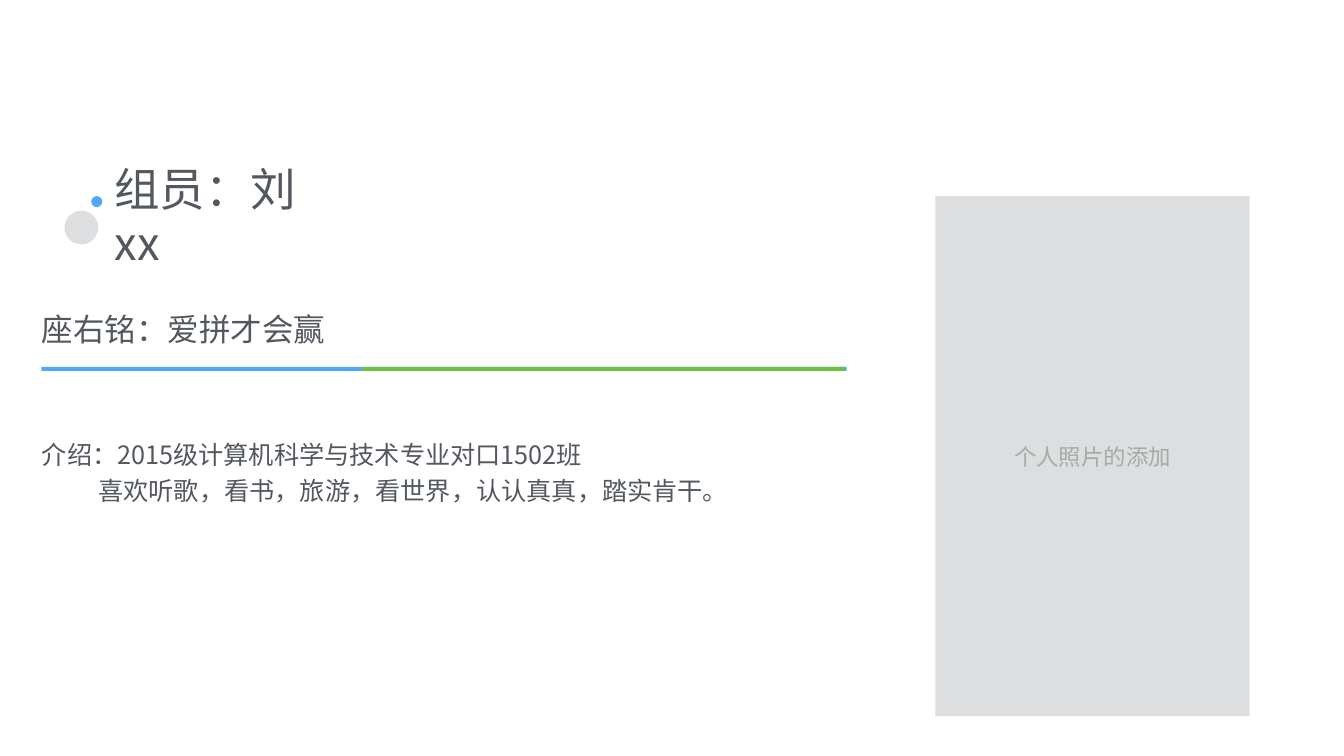
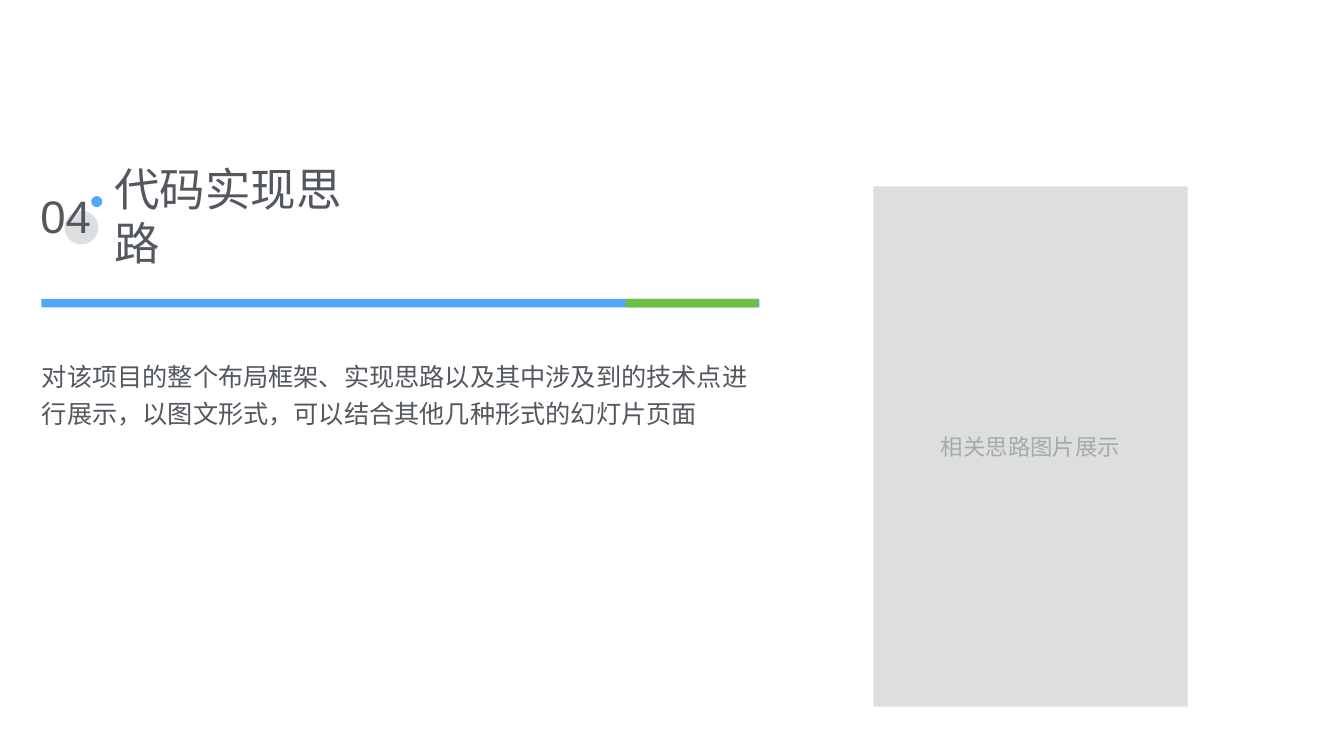
import pptx
import pptx.util
import pptx.dml.color
import pptx.enum.shapes
import pptx.enum.text
import pptx.oxml.ns
from pptx.util import Inches

COLORS = {
    "ink": "53585F",
    "blue": "51A8F9",
    "green": "70BF41",
    "pale": "DCDEE0",
    "caption": "A6AAA9",
}
CJK = "Noto Sans CJK SC"
SHAPES = pptx.enum.shapes.MSO_SHAPE
ALIGN = pptx.enum.text.PP_ALIGN


class Deck:
    def __init__(self):
        self.prs = pptx.Presentation()
        self.prs.slide_width = Inches(26.67)
        self.prs.slide_height = Inches(15)
        self.slide = None

    def new_slide(self):
        self.slide = self.prs.slides.add_slide(self.prs.slide_layouts[6])

    def color(self, name):
        return pptx.dml.color.RGBColor.from_string(COLORS[name])

    def shape(self, preset, left, top, width, height, fill):
        item = self.slide.shapes.add_shape(
            preset, Inches(left), Inches(top), Inches(width), Inches(height))
        item.shadow.inherit = False
        item.fill.solid()
        item.fill.fore_color.rgb = self.color(fill)
        item.line.fill.background()

    def text(self, lines, left, top, width, height, size, font=CJK, color="ink",
             wrap=True, align=ALIGN.LEFT, spacing=None, indent=0):
        box = self.slide.shapes.add_textbox(
            Inches(left), Inches(top), Inches(width), Inches(height))
        frame = box.text_frame
        frame.word_wrap = wrap
        frame.vertical_anchor = pptx.enum.text.MSO_ANCHOR.MIDDLE
        frame.margin_left = frame.margin_right = Inches(0.06)
        frame.margin_top = frame.margin_bottom = Inches(0.06)
        frame.text = "\n".join(lines)
        for number, paragraph in enumerate(frame.paragraphs):
            paragraph.alignment = align
            if spacing:
                paragraph.line_spacing = spacing
            if number and indent:
                paragraph._p.get_or_add_pPr().set("marL", str(Inches(indent)))
            for run in paragraph.runs:
                run.font.size = pptx.util.Pt(size)
                run.font.name = font
                run.font.color.rgb = self.color(color)
                east_asian = run._r.get_or_add_rPr().makeelement(
                    pptx.oxml.ns.qn("a:ea"), {"typeface": CJK})
                run.font._element.append(east_asian)

    def heading(self, title, width, number=None):
        self.shape(SHAPES.OVAL, 1.28, 4.18, 0.67, 0.67, "pale")
        self.text([title], 2.21, 3.67, width, 1.2, 65)
        if number:
            self.text([number], 0.74, 3.67, 1.31, 1.2, 65, font="Arial", wrap=False)
        self.shape(SHAPES.OVAL, 1.81, 3.89, 0.22, 0.22, "blue")

    def body(self, lines, top, width, indent=0):
        self.text(lines, 0.77, top, width, 1.57, 36, spacing=1.2, indent=indent)

    def divider(self, top, width, height, green_left, green_width):
        self.shape(SHAPES.RECTANGLE, 0.82, top, width, height, "blue")
        self.shape(SHAPES.RECTANGLE, green_left, top, green_width, height, "green")

    def photo_area(self, caption, left, top):
        width, height, caption_height = 6.24, 10.32, 0.65
        self.shape(SHAPES.RECTANGLE, left, top, width, height, "pale")
        self.text([caption], left, top + (height - caption_height) / 2, width,
                  caption_height, 32, font="Arial", color="caption",
                  align=ALIGN.CENTER)


def main():
    deck = Deck()

    deck.new_slide()
    deck.heading("组员：刘xx", 4.6)
    deck.text(["座右铭：爱拼才会赢"], 0.77, 6.1, 5.79, 0.87, 45, wrap=False)
    deck.body(["介绍：2015级计算机科学与技术专业对口1502班",
               "喜欢听歌，看书，旅游，看世界，认认真真，踏实肯干。"],
              8.53, 15.99, indent=1.12)
    deck.divider(7.28, 15.98, 0.08, 7.18, 9.59)
    deck.photo_area("个人照片的添加", 18.56, 3.89)

    deck.new_slide()
    deck.heading("代码实现思路", 5.53, number="04")
    deck.body(["对该项目的整个布局框架、实现思路以及其中涉及到的技术点进行展示，"
               "以图文形式，可以结合其他几种形式的幻灯片页面"], 6.99, 14.28)
    deck.divider(5.93, 14.25, 0.17, 12.42, 2.62)
    deck.photo_area("相关思路图片展示", 17.33, 3.7)

    deck.prs.save("out.pptx")


if __name__ == "__main__":
    main()
